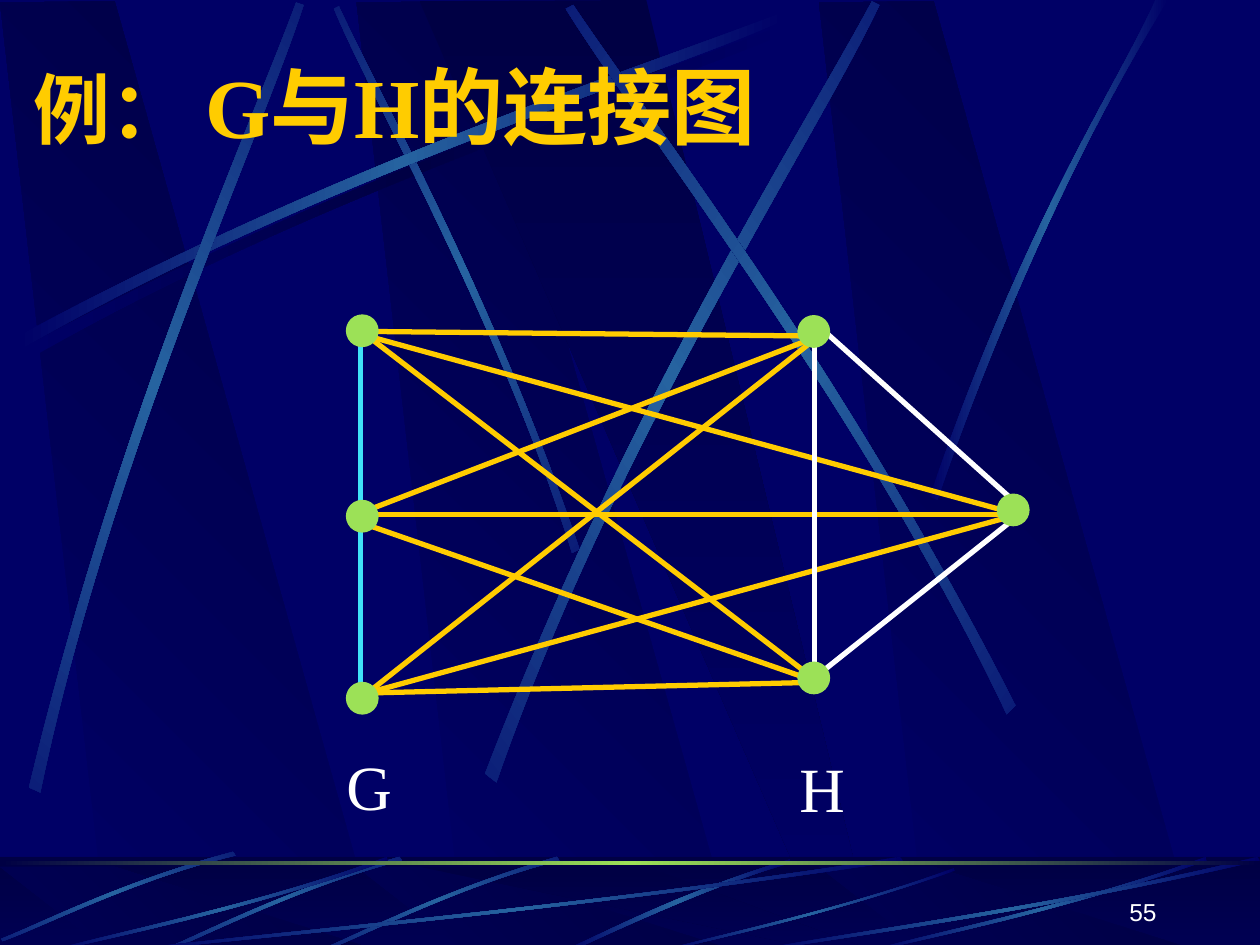
from math import cos, radians, sin

from pptx import Presentation
from pptx.dml.color import RGBColor
from pptx.enum.shapes import MSO_CONNECTOR, MSO_SHAPE
from pptx.enum.text import MSO_ANCHOR, PP_ALIGN
from pptx.oxml import parse_xml
from pptx.oxml.ns import nsdecls, qn
from pptx.oxml.xmlchemy import OxmlElement
from pptx.util import Pt

NAVY = RGBColor(0x00, 0x00, 0x66)
DARK = RGBColor(0x00, 0x00, 0x44)
STEEL = RGBColor(0x26, 0x63, 0xA0)
GREEN = RGBColor(0x9C, 0xE1, 0x57)
GOLD = RGBColor(0xFF, 0xCC, 0x00)
CYAN = RGBColor(0x40, 0xE2, 0xF8)
WHITE = RGBColor(0xFF, 0xFF, 0xFF)
SERIF, SANS, CHINESE = "Times New Roman", "Arial", "Noto Sans CJK SC"

TITLE = [("例： ", 44, SERIF), ("G", 48, SERIF), ("与", 48, CHINESE),
         ("H", 48, SERIF), ("的连接图", 48, CHINESE)]

# Diagram, in points: edges are (x1, y1, x2, y2), vertices are (left, top)
BOTTOM_FAN = [(210, 396, 468, 192), (210, 396, 582, 294), (210, 396, 462, 390)]
TOP_FAN = [(210, 189.4, 462, 192), (210, 192, 468, 390), (210, 192, 582, 294)]
MIDDLE_FAN = [(210, 300, 468, 390), (210, 291.6, 468, 192), (210, 294, 582, 294)]
G_EDGES = [(206, 192, 206, 402)]
H_EDGES = [(465.6, 191.5, 465.6, 390), (468, 186.5, 582, 288.7), (462, 390, 582, 294.5)]
G_VERTICES = [(198, 180), (198, 286), (198, 390)]
H_VERTICES = [(456, 180.4), (456, 378.4), (570, 282.4)]
PARTS = [(BOTTOM_FAN, GOLD, []), (TOP_FAN, GOLD, []), (MIDDLE_FAN, GOLD, []),
         (G_EDGES, CYAN, G_VERTICES), (H_EDGES, WHITE, H_VERTICES)]
VERTEX_SIZE = 18
LABELS = [("G", 190.8, 423.4), ("H", 449.7, 424.8)]

# Backdrop, in hundredths of an inch
UNIT = Pt(0.72)
SLAB_LEFTS = [283, 0, 650]
UPPER_SLAB = [(86, 751), (302, 753), (91, 1), (0, 2)]
UPPER_WEDGE = [(333, 1), (658, 751), (694, 751), (513, 0)]
LOWER_SLAB = [(86, 755), (302, 755), (91, 688), (0, 688)]
LOWER_WEDGE = [(333, 688), (658, 755), (694, 755), (513, 688)]

# Streaks: rotation, middle colour, shifts to the right, then two cubic sides
UPPER_STREAKS = [
    (0, DARK, [0], [(20, 275), (284, 134), (524, 59), (626, 18)],
     [(629, 24), (528, 69), (254, 151), (23, 285)]),
    (45, STEEL, [0], [(460, 436), (391, 234), (302, 77), (269, 5)],
     [(265, 7), (295, 79), (398, 258), (454, 439)]),
    (0, STEEL, [0], [(14, 267), (278, 125), (518, 51), (620, 10)],
     [(623, 16), (522, 61), (248, 143), (17, 277)]),
    (311.7, STEEL, [0], [(23, 625), (93, 334), (197, 105), (235, 2)],
     [(241, 4), (207, 109), (86, 368), (32, 629)]),
    (321.6, STEEL, [0], [(385, 614), (498, 320), (638, 102), (692, 1)],
     [(698, 4), (649, 108), (486, 355), (394, 621)]),
    (34.7, STEEL, [0], [(806, 560), (670, 293), (516, 95), (455, 4)],
     [(449, 7), (507, 101), (685, 325), (799, 567)]),
    (0, STEEL, [0], [(738, 394), (814, 173), (888, 66), (917, 0)],
     [(927, 0), (836, 145), (769, 322), (744, 397)]),
]
LOWER_STREAKS = [
    (0, STEEL, [0], [(627, 682), (537, 709), (477, 742), (448, 754)],
     [(453, 755), (490, 738), (571, 700), (628, 685)]),
    (315, STEEL, [125, 0], [(317, 680), (230, 705), (162, 740), (131, 753)],
     [(132, 755), (163, 743), (240, 703), (319, 683)]),
    (315, STEEL, [0], [(185, 676), (98, 699), (32, 733), (1, 745)],
     [(2, 747), (33, 736), (109, 697), (187, 679)]),
    (0, STEEL, [0], [(717, 683), (449, 723), (206, 744), (103, 755)],
     [(100, 754), (202, 741), (480, 718), (714, 680)]),
    (0, STEEL, [0, 650], [(308, 683), (193, 723), (88, 744), (43, 755)],
     [(42, 754), (86, 741), (206, 718), (307, 680)]),
    (0, STEEL, [0], [(758, 691), (658, 726), (567, 745), (528, 755)],
     [(527, 754), (565, 743), (669, 722), (757, 689)]),
    (0, STEEL, [0], [(1000, 683), (827, 723), (669, 744), (602, 755)],
     [(600, 754), (666, 741), (846, 718), (998, 680)]),
]


def fill_solid(shape, color):
    shape.shadow.inherit = False
    shape.line.fill.background()
    shape.fill.solid()
    shape.fill.fore_color.rgb = color


def fill_gradient(shape, colors, angle):
    """Fill with evenly spaced colours; the angle is in clockwise degrees."""
    fill_solid(shape, colors[0])
    stops = "".join(
        f'<a:gs pos="{100000 * i // (len(colors) - 1)}"><a:srgbClr val="{color}"/></a:gs>'
        for i, color in enumerate(colors))
    gradient = parse_xml(
        f'<a:gradFill {nsdecls("a")} rotWithShape="1"><a:gsLst>{stops}</a:gsLst>'
        f'<a:lin ang="{angle * 60000}" scaled="0"/></a:gradFill>')
    properties = shape._element.spPr
    properties.replace(properties.find(qn("a:solidFill")), gradient)


def add_polygon(group, points, colors, angle):
    corners = [(round(x * UNIT), round(y * UNIT)) for x, y in points]
    builder = group.shapes.build_freeform(*corners[0])
    builder.add_line_segments(corners[1:], close=True)
    shape = builder.convert_to_shape()
    fill_gradient(shape, colors, angle)
    return shape


def shift(points, offset):
    return [(x + offset, y) for x, y in points]


def turn(point, degrees):
    x, y = point
    c, s = cos(radians(degrees)), sin(radians(degrees))
    return x * c - y * s, x * s + y * c


def bend_sides(shape):
    """Turn the two long sides of an eight-point outline into cubic curves."""
    outline = next(shape._element.iter(qn("a:path")))
    lines = outline.findall(qn("a:lnTo"))
    for side in (lines[0:3], lines[4:7]):
        curve = OxmlElement("a:cubicBezTo")
        side[0].addprevious(curve)
        for line in side:
            curve.append(line[0])
            outline.remove(line)


def add_streak(group, outline, rotation, middle):
    """Lay the outline level about its own centre, then rotate the shape back."""
    level = [turn(point, -rotation) for point in outline]
    level_center = [(min(values) + max(values)) / 2 for values in zip(*level)]
    center = turn(level_center, rotation)
    moved = [(x + center[0] - level_center[0], y + center[1] - level_center[1])
             for x, y in level]
    streak = add_polygon(group, moved, [NAVY, middle, NAVY], 0)
    streak.rotation = rotation
    bend_sides(streak)


def add_band(group, top, height):
    return group.shapes.add_shape(MSO_SHAPE.RECTANGLE, 0, Pt(top), Pt(720), Pt(height))


def add_slabs(group, slab, wedge):
    for left in SLAB_LEFTS:
        add_polygon(group, shift(slab, left), [NAVY, DARK], 315)
    add_polygon(group, wedge, [DARK, NAVY], 90)


def add_streaks(group, streaks):
    for rotation, middle, offsets, first, second in streaks:
        for offset in offsets:
            add_streak(group, shift(first + second, offset), rotation, middle)


def add_backdrop(slide, master):
    """Build the backdrop as one group and hand it to the slide master."""
    group = slide.shapes.add_group_shape()
    add_slabs(group, UPPER_SLAB, UPPER_WEDGE)
    add_streaks(group, UPPER_STREAKS)
    fill_gradient(add_band(group, 489.6, 54), [DARK, NAVY], 90)
    add_slabs(group, LOWER_SLAB, LOWER_WEDGE)
    veil = add_band(group, 489.6, 54)
    fill_solid(veil, DARK)
    alpha = OxmlElement("a:alpha")
    alpha.set("val", "50000")
    veil._element.spPr.find(qn("a:solidFill"))[0].append(alpha)
    add_streaks(group, LOWER_STREAKS)
    fill_gradient(add_band(group, 492.3, 1.8), [DARK, GREEN, DARK], 0)
    for number, properties in enumerate(group._element.iter(qn("p:cNvPr")), 100):
        properties.set("id", str(number))
    master.shapes._spTree.insert(2, group._element)


def add_part(slide, edges, color, vertices):
    group = slide.shapes.add_group_shape()
    for edge in edges:
        line = group.shapes.add_connector(MSO_CONNECTOR.STRAIGHT, *map(Pt, edge))
        line.line.color.rgb = color
        line.line.width = Pt(3)
        line._element.spPr.append(OxmlElement("a:effectLst"))
    for left, top in vertices:
        dot = group.shapes.add_shape(MSO_SHAPE.OVAL, Pt(left), Pt(top),
                                     Pt(VERTEX_SIZE), Pt(VERTEX_SIZE))
        fill_solid(dot, GREEN)
        dot.line.color.rgb = GREEN
        dot.line.width = Pt(0.75)


def format_span(span, size, name, color):
    span.font.size, span.font.name, span.font.color.rgb = Pt(size), name, color


def add_text(slide, text, frame, size, name):
    box = slide.shapes.add_textbox(*map(Pt, frame))
    box.text_frame.text = text
    format_span(box.text_frame.paragraphs[0].runs[0], size, name, WHITE)
    return box.text_frame


def set_title(title):
    title.left, title.top, title.width, title.height = map(Pt, (12, 27.4, 612, 64.8))
    title.text_frame.vertical_anchor = MSO_ANCHOR.MIDDLE
    para = title.text_frame.paragraphs[0]
    para.alignment = PP_ALIGN.LEFT
    for text, size, name in TITLE:
        span = para.add_run()
        span.text = text
        format_span(span, size, name, GOLD)
        span.font.bold = True
        east_asian = OxmlElement("a:ea")
        east_asian.set("typeface", CHINESE)
        span.font._element.append(east_asian)


def main():
    deck = Presentation()
    deck.slide_width, deck.slide_height = Pt(720), Pt(540)
    slide = deck.slides.add_slide(deck.slide_layouts[5])
    background = deck.slide_master.background.fill
    background.solid()
    background.fore_color.rgb = NAVY
    add_backdrop(slide, deck.slide_master)

    set_title(slide.shapes.title)
    for part in PARTS:
        add_part(slide, *part)
    for text, left, top in LABELS:
        add_text(slide, text, (left, top, 40.3, 50.4), 36, SERIF).word_wrap = False
    number = add_text(slide, "55", (518.2, 496.8, 149.8, 36), 14, SANS)
    number.word_wrap = True
    number.vertical_anchor = MSO_ANCHOR.BOTTOM
    number.paragraphs[0].alignment = PP_ALIGN.RIGHT
    deck.save("out.pptx")


if __name__ == "__main__":
    main()
